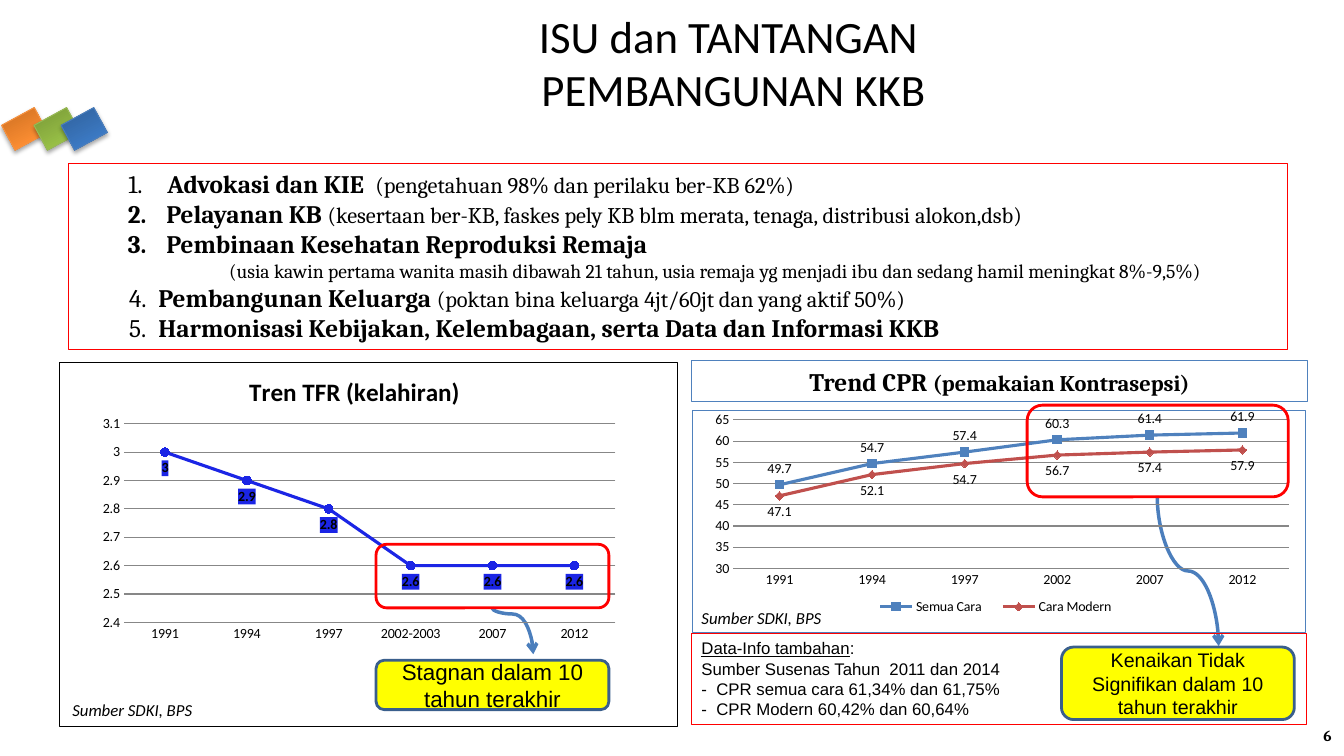
"""Build the slide on issues and challenges of the KKB programme."""
from typing import Any, NamedTuple
from pptx import Presentation, oxml, util as u
from pptx.chart import data as chart_data
from pptx.dml import color
from pptx.enum import chart as kinds, shapes, text
from pptx.oxml import ns

BLACK, RED, BLUE, VIVID, GRID = "000000", "FF0000", "4F81BD", "1B25E5", "878787"
MAIN, CHART = ns.nsdecls("a"), ns.nsdecls("c", "a")
LEFT, CENTER, RIGHT = text.PP_ALIGN.LEFT, text.PP_ALIGN.CENTER, text.PP_ALIGN.RIGHT
TOP, MIDDLE = text.MSO_ANCHOR.TOP, text.MSO_ANCHOR.MIDDLE
ABOVE, BELOW = kinds.XL_LABEL_POSITION.ABOVE, kinds.XL_LABEL_POSITION.BELOW
MARK = kinds.XL_MARKER_STYLE
Box = tuple[float, float, float, float]

class Span(NamedTuple):
    text: str
    size: float
    bold: bool = False
    italic: bool = False
    underline: bool = False

class Para(NamedTuple):
    spans: list[Span]
    left: float = 0
    hanging: float = 0
    bullet: str = "buNone"

class Panel(NamedTuple):
    box: Box
    paras: list[Para]
    font: str = "Calibri"
    line: str = ""
    width: float = 0.75
    fill: str = ""
    align: Any = LEFT
    anchor: Any = TOP

class Series(NamedTuple):
    name: str
    values: list[float]
    colour: str
    marker: Any
    position: Any
    label_fill: str = ""

class Trend(NamedTuple):
    box: Box
    border: str
    plot: Box
    scale: tuple[float, float, float]
    years: list[str]
    series: list[Series]
    title: str = ""

def rgb(value: str) -> color.RGBColor:
    return color.RGBColor.from_string(value)

def points(box: Box) -> list[u.Length]:
    return [u.Pt(value) for value in box]

def set_line(line: Any, colour: str, width: float = 0.75) -> None:
    line.color.rgb, line.width = rgb(colour), u.Pt(width)

def set_font(font: Any, name: str, span: Span) -> None:
    font.name, font.size, font.color.rgb = name, u.Pt(span.size), rgb(BLACK)
    font.bold, font.italic, font.underline = span.bold, span.italic, span.underline

def write(shape: Any, panel: Panel) -> None:
    frame = shape.text_frame
    frame.word_wrap, frame.auto_size = True, text.MSO_AUTO_SIZE.NONE
    frame.vertical_anchor = panel.anchor
    for index, para in enumerate(panel.paras):
        paragraph = frame.add_paragraph() if index else frame.paragraphs[0]
        paragraph.text = "".join(span.text for span in para.spans) if len(para.spans) == 1 else ""
        paragraph.alignment, paragraph.space_before = panel.align, u.Pt(0)
        properties = paragraph._p.get_or_add_pPr()
        properties.set("marL", str(u.Pt(para.left)))
        properties.set("indent", str(u.Pt(-para.hanging)))
        properties.append(oxml.parse_xml(f"<a:{para.bullet} {MAIN}/>"))
        for span in para.spans if len(para.spans) > 1 else []:
            paragraph.add_run().text = span.text
        spans = para.spans if len(para.spans) > 1 else para.spans * len(paragraph.runs)
        for run, span in zip(paragraph.runs, spans):
            set_font(run.font, panel.font, span)

def add_panel(page: Any, panel: Panel) -> None:
    if not panel.line:
        write(page.shapes.add_textbox(*points(panel.box)), panel)
        return
    kind = shapes.MSO_SHAPE.ROUNDED_RECTANGLE if panel.width > 1 else shapes.MSO_SHAPE.RECTANGLE
    shape = page.shapes.add_shape(kind, *points(panel.box))
    shape.shadow.inherit = False
    shape.fill.background()
    if panel.fill:
        shape.fill.solid()
        shape.fill.fore_color.rgb = rgb(panel.fill)
    set_line(shape.line, panel.line, panel.width)
    write(shape, panel)

def add_tile(page: Any, left: float, dark: str, light: str, edge: str) -> None:
    tile = page.shapes.add_shape(shapes.MSO_SHAPE.RECTANGLE, *points((left, 82, 26.6, 20.2)))
    tile.rotation, tile.shadow.inherit = 151.5, False
    tile.fill.gradient()
    tile.fill.gradient_angle = 90
    for stop, colour, position in zip(tile.fill.gradient_stops, (dark, light), (0, 0.8)):
        stop.color.rgb, stop.position = rgb(colour), position
    set_line(tile.line, edge)
    tile._element.spPr.find(ns.qn("a:effectLst")).append(oxml.parse_xml(
        f'<a:outerShdw {MAIN} blurRad="{u.Pt(3.1)}" dist="{u.Pt(1.8)}" dir="5400000" rotWithShape="0">'
        '<a:srgbClr val="000000"><a:alpha val="35000"/></a:srgbClr></a:outerShdw>'))

def add_curve(page: Any, x1: float, y1: float, x2: float, y2: float, bend: int) -> None:
    x, y, half_x, half_y = (x1 + x2) / 2, (y1 + y2) / 2, (y2 - y1) / 2, (x2 - x1) / 2
    curve = page.shapes.add_connector(
        shapes.MSO_CONNECTOR.CURVE, *points((x - half_x, y - half_y, x + half_x, y + half_y)))
    set_line(curve.line, "4B7EBC", 2.5)
    properties = curve._element.spPr
    properties.xfrm.set("rot", "16200000")
    properties.xfrm.set("flipH", "1")
    properties.find(ns.qn("a:prstGeom")).find(ns.qn("a:avLst")).append(
        oxml.parse_xml(f'<a:gd {MAIN} name="adj1" fmla="val {bend}"/>'))
    properties.find(ns.qn("a:ln")).append(oxml.parse_xml(f'<a:tailEnd {MAIN} type="arrow"/>'))
    properties.append(oxml.parse_xml(f"<a:effectLst {MAIN}/>"))

def set_layout(parent: Any, index: int, **values: Any) -> None:
    for old in parent.findall(ns.qn("c:layout")):
        parent.remove(old)
    items = "".join(f'<c:{key} val="{value}"/>' for key, value in values.items())
    parent.insert(index, oxml.parse_xml(
        f"<c:layout {CHART}><c:manualLayout>{items}</c:manualLayout></c:layout>"))

def chart_format(start: str, colour: str, end: str) -> Any:
    fill = f'<a:solidFill><a:srgbClr val="{colour}"/></a:solidFill>'
    return oxml.parse_xml(f"<c:spPr {CHART}>{start}{fill}{end}</c:spPr>")

def add_trend(page: Any, trend: Trend) -> None:
    table = chart_data.CategoryChartData()
    table.categories = trend.years
    for series in trend.series:
        table.add_series(series.name, series.values)
    chart = page.shapes.add_chart(kinds.XL_CHART_TYPE.LINE_MARKERS, *points(trend.box), table).chart
    set_font(chart.font, "Calibri", Span("", 10))
    chart.has_title, chart.has_legend = bool(trend.title), not trend.title
    if trend.title:
        chart.chart_title.text_frame.text = trend.title
        set_font(chart.chart_title.text_frame.paragraphs[0].runs[0].font, "Calibri", Span("", 18, True))
        set_layout(chart.chart_title._element, 1, xMode="edge", yMode="edge", x=0.3, y=0.02)
    else:
        chart.legend.position = kinds.XL_LEGEND_POSITION.BOTTOM
        chart.legend.include_in_layout = False
        set_layout(chart.legend._element, 1, xMode="edge", yMode="edge", x=0.28, y=0.83, w=0.43, h=0.11)
    for axis in (chart.category_axis, chart.value_axis):
        axis.major_tick_mark = axis.minor_tick_mark = kinds.XL_TICK_MARK.NONE
    values = chart.value_axis
    values.minimum_scale, values.maximum_scale, values.major_unit = trend.scale
    values.format.line.fill.background()
    for line in (chart.category_axis.format.line, values.major_gridlines.format.line):
        set_line(line, GRID)
    chart.plots[0].vary_by_categories = False
    for line, series in zip(chart.plots[0].series, trend.series):
        line.smooth, line.marker.style, line.marker.size = False, series.marker, 6
        set_line(line.format.line, series.colour, 2.25)
        line.marker.format.fill.solid()
        line.marker.format.fill.fore_color.rgb = rgb(series.colour)
        set_line(line.marker.format.line, series.colour)
        labels = line.data_labels
        labels.show_value, labels.position = True, series.position
        set_font(labels.font, "Calibri", Span("", 10, bool(series.label_fill)))
        if series.label_fill:
            labels._element.find(ns.qn("c:txPr")).addprevious(chart_format("", series.label_fill, ""))
    root = chart._chartSpace.find(ns.qn("c:chart"))
    root.addnext(chart_format(f'<a:noFill/><a:ln w="{u.Pt(0.75)}">', trend.border, "</a:ln>"))
    left, top, width, height = trend.plot
    set_layout(root.find(ns.qn("c:plotArea")), 0, layoutTarget="inner", xMode="edge", yMode="edge",
               x=left, y=top, w=width, h=height)

NUMBER = 'buAutoNum type="arabicPeriod" startAt="2"'
TITLE = Panel((92, 3.6, 864, 81.4), [Para([Span("ISU dan TANTANGAN \vPEMBANGUNAN KKB", 32)])],
              align=CENTER, anchor=MIDDLE)
ISSUES = Panel((49, 116.6, 870.5, 133.2), [
    Para([Span("1. \t", 18), Span("Advokasi dan KIE  ", 18, True),
          Span("(pengetahuan 98% dan perilaku ber-KB 62%)", 16)], 63.4, 28),
    Para([Span("Pelayanan KB ", 18, True), Span(
        "(kesertaan ber-KB, faskes pely KB blm merata, tenaga, distribusi alokon,dsb)", 16)], 62.6, 27.4, NUMBER),
    Para([Span("Pembinaan Kesehatan Reproduksi Remaja", 18, True)], 62.6, 27.4, NUMBER),
    Para([Span("(usia kawin pertama wanita masih dibawah 21 tahun, usia remaja yg menjadi ibu "
               "dan sedang hamil meningkat 8%-9,5%)", 14)], 107.5),
    Para([Span("4. \t", 18), Span("Pembangunan Keluarga ", 18, True),
          Span("(poktan bina keluarga 4jt/60jt dan yang aktif 50%)", 16)], 56.9, 20.9),
    Para([Span("5. \t", 18), Span("Harmonisasi Kebijakan, Kelembagaan, serta Data dan Informasi KKB", 18, True)],
         56.9, 20.9)], "Cambria", RED)
SOURCE = [Para([Span("Sumber SDKI, BPS", 12, italic=True)])]
FACTS = ["Sumber Susenas Tahun  2011 dan 2014", "-  CPR semua cara 61,34% dan 61,75%", "-  CPR Modern 60,42% dan 60,64%"]
CALLOUT = ("Arial", "3A5F8C", 2, "FFFF00", CENTER, MIDDLE)
PANELS = [
    Panel((734.4, 511.2, 224, 28.8), [Para([Span("6", 11, True)])], "Cambria", align=RIGHT, anchor=MIDDLE),
    Panel((494, 257.8, 440, 28.8), [Para([Span("Trend CPR ", 18, True), Span("(pemakaian Kontrasepsi)", 16, True)])],
          "Cambria", BLUE, align=CENTER),
    Panel((733.7, 289.4, 186.5, 65.5), [], line=RED, width=2),
    Panel((268.6, 388.8, 166.3, 45.4), [], line=RED, width=2),
    Panel((44.6, 496, 205, 21.6), SOURCE), Panel((494, 430.6, 136.8, 21.6), SOURCE),
    Panel((494, 452.2, 439.2, 65.5), [Para([Span("Data-Info tambahan", 12, underline=True), Span(":", 12)])]
          + [Para([Span(fact, 12)]) for fact in FACTS], "Arial", RED),
    Panel((268.6, 471.6, 166.3, 35.3), [Para([Span("Stagnan dalam 10 tahun terakhir", 16)])], *CALLOUT),
    Panel((758.2, 462.2, 166.3, 51.8), [Para([Span("Kenaikan Tidak Signifikan dalam 10 tahun terakhir", 14)])], *CALLOUT)]
TRENDS = [
    Trend((494, 292.3, 439.2, 159.8), BLUE, (0.067, 0.042, 0.905, 0.67), (30, 65, 5),
          ["1991", "1994", "1997", "2002", "2007", "2012"],
          [Series("Semua Cara", [49.7, 54.7, 57.4, 60.3, 61.4, 61.9], BLUE, MARK.SQUARE, ABOVE),
           Series("Cara Modern", [47.1, 52.1, 54.7, 56.7, 57.4, 57.9], "C0504D", MARK.DIAMOND, BELOW)]),
    Trend((41.8, 258.5, 442.8, 260.6), BLACK, (0.105, 0.169, 0.794, 0.546), (2.4, 3.1, 0.1),
          ["1991", "1994", "1997", "2002-2003", "2007", "2012"],
          [Series("Series 1", [3, 2.9, 2.8, 2.6, 2.6, 2.6], VIVID, MARK.CIRCLE, BELOW, VIVID)],
          "Tren TFR (kelahiran)")]
TILES = [(4.3, "CC6E20", "FF9034", "F69240"), (27.4, "779737", "9BC348", "98B955"), (46.8, "2F5F99", "3D7CC7", "4B7EBC")]
CURVES = [(351.4, 434.2, 380.9, 467.3, 13300), (826.6, 354.2, 870.5, 461.5, 50000)]

def main() -> None:
    deck = Presentation()
    deck.slide_width, deck.slide_height = u.Pt(960), u.Pt(540)
    page = deck.slides.add_slide(deck.slide_layouts[1])
    for holder, panel in zip(page.placeholders, (TITLE, ISSUES)):
        holder.left, holder.top, holder.width, holder.height = points(panel.box)
        write(holder, panel)
    set_line(page.placeholders[1].line, ISSUES.line)
    for add, items in ((add_tile, TILES), (add_curve, CURVES)):
        for item in items:
            add(page, *item)
    for add, items in ((add_trend, TRENDS), (add_panel, PANELS)):
        for item in items:
            add(page, item)
    deck.save("out.pptx")

if __name__ == "__main__":
    main()
